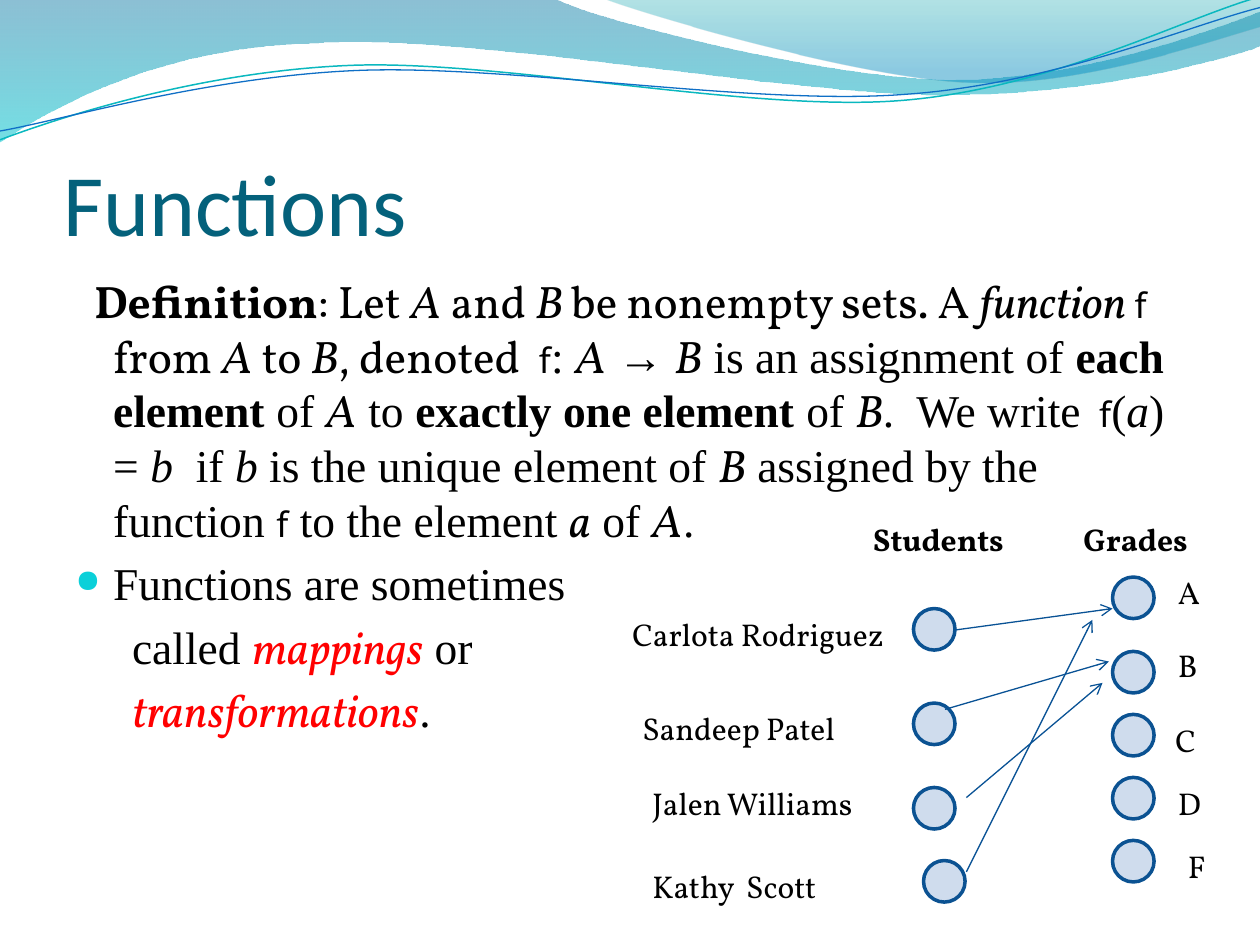
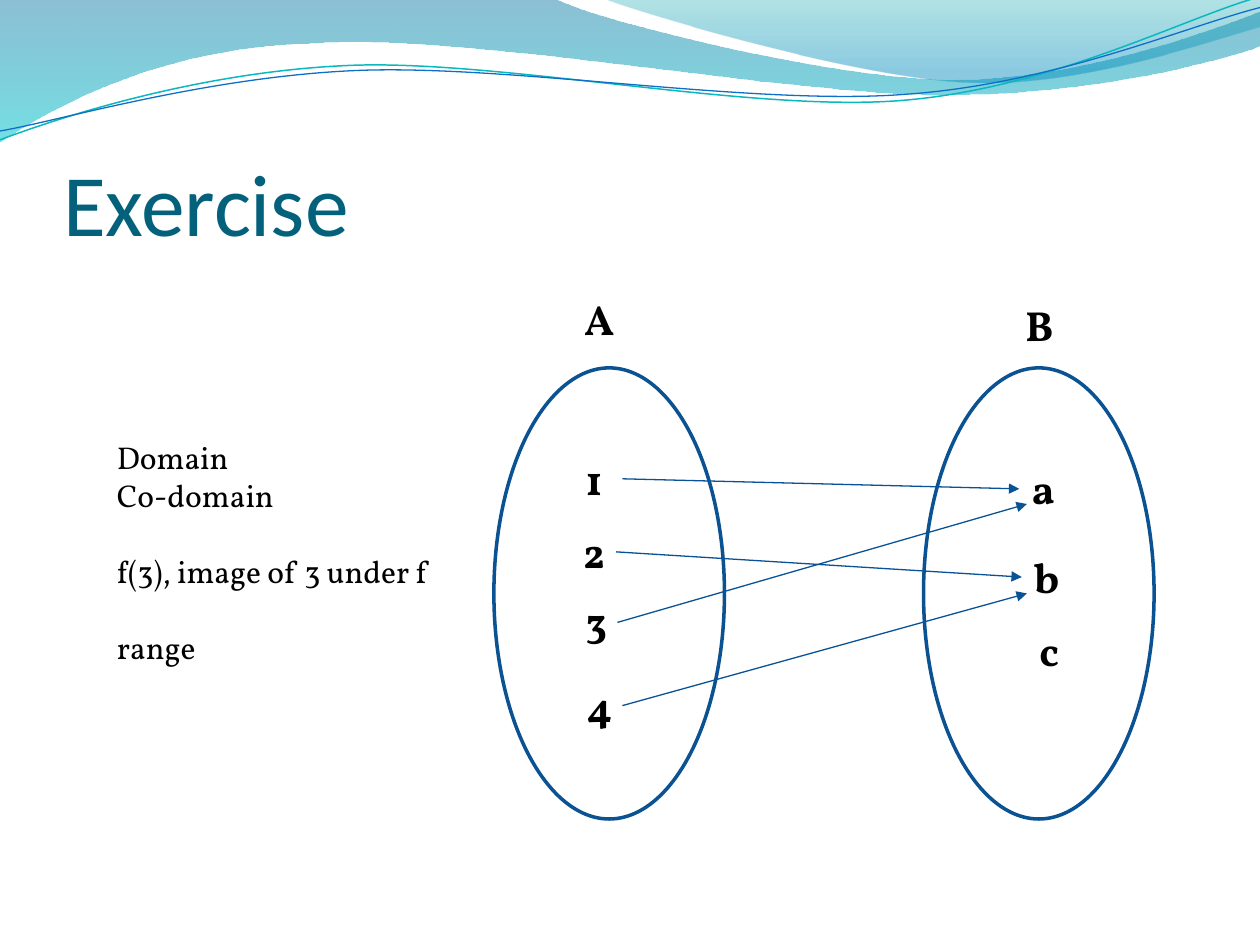
"""Builds two slides on functions: a definition with a grades mapping, and an exercise."""
from dataclasses import dataclass

import pptx
import pptx.dml.color
import pptx.enum.shapes
import pptx.enum.text
import pptx.oxml.ns
import pptx.util

Inches = pptx.util.Inches
Pt = pptx.util.Pt
PRESETS = pptx.enum.shapes.MSO_SHAPE
qn = pptx.oxml.ns.qn


def rgb(code):
    return pptx.dml.color.RGBColor.from_string(code)


@dataclass(frozen=True)
class Theme:
    ink: str = "000000"
    title: str = "04617B"
    emphasis: str = "FF0000"
    bullet: str = "0BD0D9"
    outline: str = "0B5292"
    arrow: str = "095295"
    node: str = "4F81BD"
    title_font: str = "Calibri"
    label_font: str = "Vollkorn"
    body_font: str = "Times New Roman"
    symbol_font: str = "Noto Sans"
    title_size: int = 50
    body_size: int = 26
    symbol_size: int = 20
    set_size: int = 24
    label_size: int = 18


BANDS = [
    ([(0, 0)],
     [[(4.4, -0.01)],
      [(4.76, 0.17), (6.64, 0.63), (7.58, 0.63)],
      [(8.53, 0.63), (9.58, 0.26), (10, 0.09)],
      [(10.01, 0.36)],
      [(9.83, 0.44), (8.7, 0.76), (7.46, 0.75)],
      [(6.22, 0.75), (3.82, 0.28), (2.57, 0.34)],
      [(1.29, 0.36), (0.46, 0.83), (-0.01, 1.13)]],
     [(0, "0074A1", 45), (1, "00C6CF", 55)]),
    ([(4.79, -0.01)],
     [[(5.09, 0.11), (6.82, 0.62), (7.69, 0.65)],
      [(8.56, 0.69), (9.61, 0.32), (10, 0.21)],
      [(10, 0)]],
     [(0, "00A1A9", 30), (0.8, "008BBF", 45)]),
]
WAVES = [
    ([(0, 1.11)],
     [[(0.48, 0.93), (1.58, 0.57), (2.77, 0.52)],
      [(3.95, 0.47), (5.93, 0.89), (7.13, 0.8)],
      [(8.33, 0.71), (9.38, 0.15), (9.98, -0.02)]], "0AB8BF", 0.85),
    ([(0, 1.04)],
     [[(0.47, 0.96), (1.64, 0.61), (2.83, 0.56)],
      [(4.03, 0.51), (5.97, 0.84), (7.17, 0.75)],
      [(8.36, 0.67), (9.41, 0.21), (10, 0.06)]], "0F6FC6", 0.75),
]


def set_opacity(shape, *percents):
    for color, percent in zip(shape._element.spPr.iter(qn("a:srgbClr")), percents):
        color.append(color.makeelement(qn("a:alpha"), {"val": str(percent * 1000)}))


class Deck:
    def __init__(self, theme):
        self.theme = theme
        self.file = pptx.Presentation()
        self.file.slide_width, self.file.slide_height = Inches(10), Inches(7.5)
        self.layout = self.file.slide_layouts[5]
        self.slide = None

    def start_slide(self, heading):
        first = self.slide is None
        self.slide = self.file.slides.add_slide(self.layout)
        if first:
            self.decorate_layout()
        title = self.slide.shapes.title
        title.left, title.top = Inches(0.5), Inches(0.77)
        title.width, title.height = Inches(9), Inches(1.25)
        frame = title.text_frame
        frame.text = heading
        frame.auto_size = pptx.enum.text.MSO_AUTO_SIZE.NONE
        frame.vertical_anchor = pptx.enum.text.MSO_ANCHOR.BOTTOM
        frame.margin_left = frame.margin_right = frame.margin_bottom = 0
        frame.margin_top = Inches(0.05)
        frame.paragraphs[0].alignment = pptx.enum.text.PP_ALIGN.LEFT
        self.style(frame.paragraphs[0].font, self.theme.title_font,
                   self.theme.title_size, self.theme.title)

    def decorate_layout(self):
        for start, segments, stops in BANDS:
            band = self.curve(start, segments, True)
            band.fill.gradient()
            band.fill.gradient_angle = 270
            for stop, (position, color, _) in zip(band.fill.gradient_stops, stops):
                stop.position, stop.color.rgb = position, rgb(color)
            set_opacity(band, *(opacity for _, _, opacity in stops))
            band.line.fill.background()
            self.layout.shapes.element.append(band._element)
        for start, segments, color, width in WAVES:
            wave = self.curve(start, segments, False)
            wave.fill.background()
            self.stroke(wave, color, width)
            self.layout.shapes.element.append(wave._element)

    def curve(self, start, segments, closed):
        points = [(Inches(x), Inches(y)) for part in [start, *segments] for x, y in part]
        builder = self.slide.shapes.build_freeform(*points[0])
        builder.add_line_segments(points[1:], close=closed)
        shape = builder.convert_to_shape()
        shape.shadow.inherit = False
        steps = iter(list(shape._element.spPr.iter(qn("a:lnTo"))))
        for segment in segments:
            controls = [next(steps) for _ in segment]
            if len(controls) == 3:
                bezier = controls[0].makeelement(qn("a:cubicBezTo"), {})
                controls[0].addprevious(bezier)
                for control in controls:
                    bezier.append(control[0])
                    control.getparent().remove(control)
        return shape

    def style(self, font, name, size, color, bold=False, italic=False):
        font.name, font.size, font.color.rgb = name, Pt(size), rgb(color)
        font.bold, font.italic = bold, italic

    def stroke(self, shape, color, width):
        shape.line.color.rgb, shape.line.width = rgb(color), Pt(width)

    def text_frame(self, left, top, width, height):
        box = self.slide.shapes.add_textbox(*map(Inches, (left, top, width, height)))
        box.text_frame.word_wrap = True
        return box.text_frame

    def label(self, text, left, top, width, size=None, bold=False, height=0.4, gaps=()):
        frame = self.text_frame(left, top, width, height)
        frame.text = text
        for index, paragraph in enumerate(frame.paragraphs):
            self.style(paragraph.font, self.theme.label_font,
                       size or self.theme.label_size, self.theme.ink, bold)
            if index in gaps:
                paragraph.space_before = Pt(21.7)

    def body(self, paragraphs, left, top, width, height):
        theme = self.theme
        frame = self.text_frame(left, top, width, height)
        for index, (margin, indent, bulleted, runs) in enumerate(paragraphs):
            paragraph = frame.add_paragraph() if index else frame.paragraphs[0]
            paragraph.space_before = Pt(5.2)
            self.style(paragraph.font, theme.body_font, theme.body_size, theme.ink)
            properties = paragraph._p.get_or_add_pPr()
            properties.set("marL", str(Inches(margin)))
            properties.set("indent", str(Inches(indent)))
            if bulleted:
                self.bullet(properties)
            for kind, text in runs:
                run = paragraph.add_run()
                run.text = text
                self.style_run(run.font, kind)

    def style_run(self, font, kind):
        theme = self.theme
        if kind == "symbol":
            font.name, font.size = theme.symbol_font, Pt(theme.symbol_size)
        elif kind.startswith("label"):
            font.name = theme.label_font
        if "bold" in kind:
            font.bold = True
        if "italic" in kind:
            font.italic = True
        if "red" in kind:
            font.color.rgb = rgb(theme.emphasis)

    def bullet(self, properties):
        color = properties.makeelement(qn("a:buClr"), {})
        color.append(color.makeelement(qn("a:srgbClr"), {"val": self.theme.bullet}))
        size = properties.makeelement(qn("a:buSzPct"), {"val": "70000"})
        mark = properties.makeelement(qn("a:buChar"), {"char": "●"})
        defaults = properties.find(qn("a:defRPr"))
        for part in (color, size, mark):
            defaults.addprevious(part)

    def oval(self, preset, left, top, width, height, filled):
        shape = self.slide.shapes.add_shape(preset, *map(Inches, (left, top, width, height)))
        shape.shadow.inherit = False
        if filled:
            shape.fill.solid()
            shape.fill.fore_color.rgb = rgb(self.theme.node)
            set_opacity(shape, 27)
        else:
            shape.fill.background()
        self.stroke(shape, self.theme.outline, 2)

    def node(self, left, top):
        self.oval(PRESETS.FLOWCHART_CONNECTOR, left, top, 0.33, 0.33, True)

    def arrow(self, start, end, head):
        line = self.slide.shapes.add_connector(
            pptx.enum.shapes.MSO_CONNECTOR.STRAIGHT, *map(Inches, (*start, *end)))
        self.stroke(line, self.theme.arrow, 0.75)
        stroke = line.line._get_or_add_ln()
        stroke.append(stroke.makeelement(qn("a:tailEnd"), {"type": head}))
        properties = line._element.spPr
        properties.append(properties.makeelement(qn("a:effectLst"), {}))


DEFINITION = [
    ("label bold", "Definition"), ("label", ": Let "), ("label italic", "A"),
    ("label", " and "), ("label italic", "B "), ("label", "be nonempty sets. A "),
    ("label italic", "function "), ("symbol", "f"), ("label", " from "),
    ("label italic", "A"), ("label", " to "), ("label italic", "B"),
    ("label", ", denoted"), ("symbol", "  f"), ("plain", ": "), ("label italic", "A"),
    ("plain", " → "), ("label italic", "B"), ("plain", " is an assignment of "),
    ("bold", "each element "), ("plain", "of "), ("label italic", "A"), ("plain", " to "),
    ("bold", "exactly one element "), ("plain", "of "), ("label italic", "B"),
    ("plain", ".  We write"), ("symbol", "  f"), ("plain", "("), ("italic", "a"),
    ("plain", ") = "), ("italic", "b  "), ("plain", "if "), ("italic", "b"),
    ("plain", " is the unique element of "), ("label italic", "B"),
    ("plain", " assigned by the function "), ("symbol", "f"),
    ("plain", " to the element "), ("label italic", "a"), ("plain", " of "),
    ("label italic", "A"), ("plain", "."),
]
STATEMENTS = [
    (0.3, -0.15, False, DEFINITION),
    (0.3, -0.3, True, [("plain", "Functions are sometimes")]),
    (0.45, 0, False, [("plain", "called "), ("label italic red", "mappings"), ("plain", " or")]),
    (0.45, 0, False, [("label italic red", "transformations"), ("plain", ".")]),
]
STUDENTS = [
    ("Carlota Rodriguez", 4.92, 4.83, 7.25, 4.83),
    ("Sandeep Patel", 5, 5.58, 7.25, 5.58),
    ("Jalen Williams", 5.08, 6.17, 7.25, 6.25),
    ("Kathy  Scott", 5.08, 6.83, 7.33, 6.83),
]
GRADES = [
    ("A", 9.25, 4.5, 4.58), ("B", 9.25, 5.08, 5.17), ("C", 9.23, 5.67, 5.67),
    ("D", 9.25, 6.17, 6.17), ("F", 9.33, 6.67, 6.67),
]
GRADE_ARROWS = [
    ((7.58, 5), (8.83, 4.83)), ((7.67, 6.33), (8.75, 5.42)),
    ((7.5, 5.63), (8.8, 5.25)), ((7.67, 6.92), (8.67, 4.92)),
]
SET_LABELS = [
    ("A", 4.54, 2.28), ("1", 4.55, 3.55), ("2", 4.53, 4.13), ("3", 4.55, 4.68),
    ("4", 4.56, 5.35), ("B", 8.04, 2.33), ("a", 8.09, 3.62), ("b", 8.11, 4.33),
    ("c", 8.15, 4.91),
]
SET_ARROWS = [
    ((4.94, 3.8), (8.09, 3.88)), ((4.89, 4.38), (8.11, 4.58)),
    ((4.9, 4.94), (8.15, 4)), ((4.94, 5.6), (8.15, 4.71)),
]


def add_functions(deck):
    deck.start_slide("Functions")
    deck.body(STATEMENTS, 0.5, 2.12, 9, 4.8)
    deck.label("Students", 6.83, 4.08, 1.75, bold=True)
    deck.label("Grades", 8.5, 4.08, 1.17, bold=True)
    for name, left, top, node_left, node_top in STUDENTS:
        deck.node(node_left, node_top)
        deck.label(name, left, top, 2.3)
    for grade, left, top, node_top in GRADES:
        deck.node(8.83, node_top)
        deck.label(grade, left, top, 0.4)
    for start, end in GRADE_ARROWS:
        deck.arrow(start, end, "arrow")


def add_exercise(deck):
    deck.start_slide("Exercise")
    for left in (3.92, 7.33):
        deck.oval(PRESETS.OVAL, left, 2.92, 1.83, 3.58, False)
    for member, left, top in SET_LABELS:
        deck.label(member, left, top, 0.42, deck.theme.set_size, True, 0.5)
    for start, end in SET_ARROWS:
        deck.arrow(start, end, "triangle")
    deck.label("Domain\nCo-domain\nf(3), image of 3 under f\nrange",
               0.83, 3.43, 2.9, height=1.92, gaps=(2, 3))


def main():
    deck = Deck(Theme())
    add_functions(deck)
    add_exercise(deck)
    deck.file.save("out.pptx")


if __name__ == "__main__":
    main()
